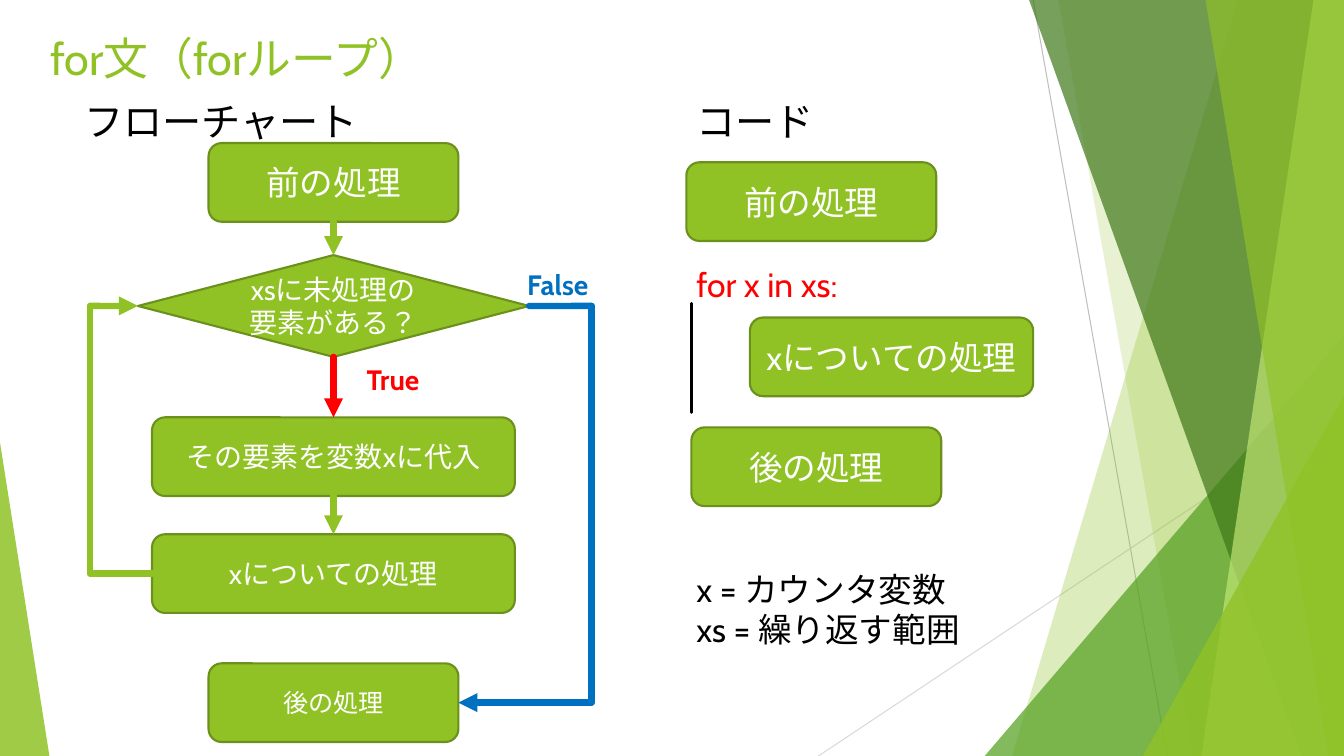
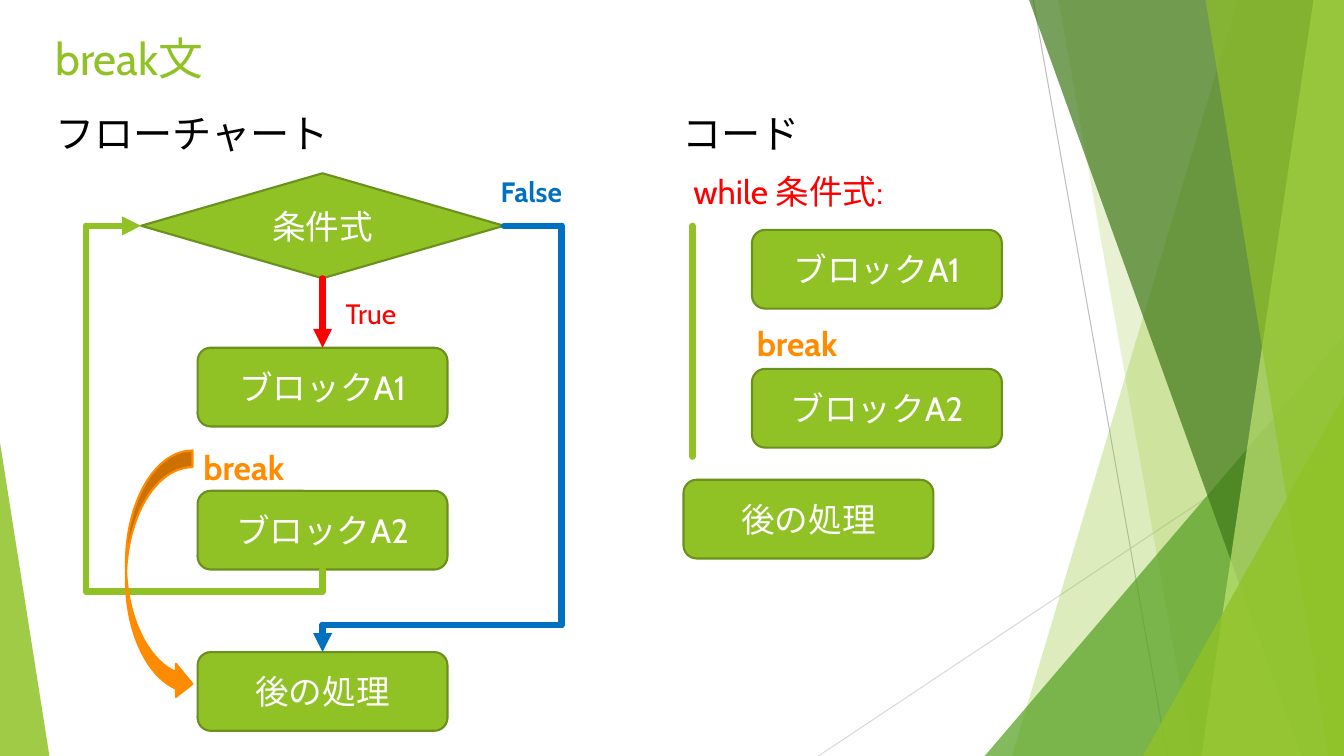
from itertools import pairwise

from lxml.etree import SubElement
from pptx import Presentation
from pptx.dml.color import RGBColor
from pptx.enum.lang import MSO_LANGUAGE_ID
from pptx.enum.shapes import MSO_CONNECTOR, MSO_SHAPE
from pptx.enum.text import MSO_ANCHOR, PP_ALIGN
from pptx.oxml.ns import qn
from pptx.util import Pt

FONT = "Cabin"
GREEN = RGBColor(0x90, 0xC2, 0x26)
OUTLINE = RGBColor(0x6B, 0x90, 0x1C)
LEAF = RGBColor(0x54, 0xA0, 0x21)
FOREST = RGBColor(0x3F, 0x78, 0x19)
LIME = RGBColor(0xC0, 0xE4, 0x74)
RED = RGBColor(0xFF, 0x00, 0x00)
BLUE = RGBColor(0x00, 0x70, 0xC0)
ORANGE = RGBColor(0xFF, 0x8C, 0x00)
BLACK = RGBColor(0x00, 0x00, 0x00)
WHITE = RGBColor(0xFF, 0xFF, 0xFF)
GRAY = RGBColor(0xBF, 0xBF, 0xBF)
PALE_GRAY = RGBColor(0xD9, 0xD9, 0xD9)

W, H = 960, 540
BOX_W, BOX_H = 178.5, 56.2
WIDE_W = 259.2
FLOW = 4.5
TOP, LEFT, BOTTOM, RIGHT = range(4)
BOX, DIAMOND = MSO_SHAPE.ROUNDED_RECTANGLE, MSO_SHAPE.DIAMOND


def set_text(sp, text, size, color, bold=False, align=PP_ALIGN.LEFT):
    tf = sp.text_frame
    tf.word_wrap = True
    tf.text = text
    for p in tf.paragraphs:
        p.alignment = align
        p.font.name = FONT
        p.font.size = Pt(size)
        p.font.bold = bold
        p.font.color.rgb = color
        p.font.language_id = MSO_LANGUAGE_ID.JAPANESE


def add_route(slide, stops, color, width, arrow=False, nodes=None):
    """Join stops with straight connectors; a stop is (x, y) or (node name, side)."""
    for start, end in pairwise(stops):
        ends = [(0, 0) if isinstance(stop[0], str) else stop for stop in (start, end)]
        cxn = slide.shapes.add_connector(
            MSO_CONNECTOR.STRAIGHT, *(Pt(v) for point in ends for v in point))
        if isinstance(start[0], str):
            cxn.begin_connect(nodes[start[0]], start[1])
        if isinstance(end[0], str):
            cxn.end_connect(nodes[end[0]], end[1])
        cxn.line.color.rgb = color
        cxn.line.width = Pt(width)
        ln = cxn.element.spPr.find(qn("a:ln"))
        ln.set("cap", "rnd")
        if arrow and end is stops[-1]:
            SubElement(ln, qn("a:tailEnd"), type="triangle")
        SubElement(cxn.element.spPr, qn("a:effectLst"))


prs = Presentation()
prs.slide_width, prs.slide_height = Pt(W), Pt(H)
layout = prs.slide_layouts[6]
for placeholder in list(layout.placeholders):
    layout.shapes.element.remove(placeholder.element)

# Shared decoration: drawn on the first slide, then moved to the layout.
s = prs.slides.add_slide(layout)
add_route(s, [(738, 0), (833.8, H)], GRAY, 0.75)
add_route(s, [(W, 290.2), (584.6, H)], PALE_GRAY, 0.75)

# A band is (top x, bottom x); a triangle is (left, top, width, apex position).
facets = [
    ((884.2, 722.9), GREEN, 30),
    ((756, 851.8), GREEN, 20),
    ((703.4, 239.8, 256.6, 1), LEAF, 72),
    ((735.1, 929.5), FOREST, 70),
    ((938.2, 858.2), LIME, 70),
    ((861.1, 949), GREEN, 65),
    ((816.5, 283, 143.5, 1), GREEN, 80),
    ((0, 316.1, 35.3, 0), GREEN, 85),
]
for geometry, color, opacity in facets:
    if len(geometry) == 2:
        top_x, bottom_x = geometry
        outline = s.shapes.build_freeform(Pt(top_x), 0)
        outline.add_line_segments(
            [(Pt(W), 0), (Pt(W), Pt(H)), (Pt(bottom_x), Pt(H))], close=True)
        sp = outline.convert_to_shape()
    else:
        left, top, width, apex = geometry
        sp = s.shapes.add_shape(
            MSO_SHAPE.ISOSCELES_TRIANGLE, Pt(left), Pt(top), Pt(width), Pt(H - top))
        sp.adjustments[0] = apex
    sp.shadow.inherit = False
    sp.fill.solid()
    sp.fill.fore_color.rgb = color
    srgb = sp.element.spPr.find(".//" + qn("a:srgbClr"))
    SubElement(srgb, qn("a:alpha"), val=str(opacity * 1000))
    sp.line.fill.background()
for sp in list(s.shapes):
    layout.shapes.element.append(sp.element)

# nodes: name -> kind, center x, top, width, height, text, size
# routes: stops, color, width, arrow
# labels: left, top, width, height, text, size, color, bold
pages = [
    {
        "nodes": {
            "before": (BOX, 238.2, 102.2, BOX_W, BOX_H, "前の処理", 24),
            "after": (BOX, 238.2, 473.8, BOX_W, BOX_H, "後の処理", 18),
            "assign": (BOX, 238.2, 298.1, WIDE_W, BOX_H, "その要素を変数xに代入", 20),
            "body": (BOX, 238.2, 381.6, WIDE_W, BOX_H, "xについての処理", 20),
            "test": (DIAMOND, 238.2, 182.2, 279.4, 72.7, "xsに未処理の要素がある？", 20),
            "code before": (BOX, 579.5, 115.9, BOX_W, BOX_H, "前の処理", 24),
            "code body": (BOX, 636.8, 226.8, 202.3, BOX_H, "xについての処理", 24),
            "code after": (BOX, 583.1, 305.3, BOX_W, BOX_H, "後の処理", 24),
        },
        "routes": [
            ([("before", BOTTOM), ("test", TOP)], GREEN, FLOW, True),
            ([("test", BOTTOM), ("assign", TOP)], RED, FLOW, True),
            ([("assign", BOTTOM), ("body", TOP)], GREEN, FLOW, True),
            ([("test", RIGHT), (422.6, 218.5), (422.6, 501.9), ("after", RIGHT)],
             BLUE, FLOW, True),
            ([("body", LEFT), (64.4, 409.7), (64.4, 218.5), ("test", LEFT)],
             GREEN, FLOW, True),
            ([(493.9, 216.7), (493.9, 294.5)], BLACK, 2.25, False),
        ],
        "labels": [
            (28.8, 18.7, 676.8, 55, "for文（forループ）", 32, GREEN, False),
            (53.3, 66.2, 273.6, 41, "フローチャート", 28, BLACK, False),
            (490.3, 66.2, 240.5, 41, "コード", 28, BLACK, False),
            (254.9, 255.6, 96.5, 31.7, "True", 20, RED, True),
            (369.4, 187.2, 82.8, 31.7, "False", 20, BLUE, True),
            (490.3, 185, 275.8, 36, "for x in xs:", 24, RED, False),
            (490.3, 402.5, 300.2, 65.5, "x = カウンタ変数\nxs = 繰り返す範囲", 24, BLACK, False),
        ],
    },
    {
        "nodes": {
            "after": (BOX, 230.4, 465.8, BOX_W, BOX_H, "後の処理", 24),
            "A1": (BOX, 230.4, 248.4, BOX_W, BOX_H, "ブロックA1", 24),
            "A2": (BOX, 230.4, 350.6, BOX_W, BOX_H, "ブロックA2", 24),
            "test": (DIAMOND, 230.4, 123.8, WIDE_W, 75, "条件式", 24),
            "code A1": (BOX, 626.4, 164.2, BOX_W, BOX_H, "ブロックA1", 24),
            "code A2": (BOX, 626.4, 263.5, BOX_W, BOX_H, "ブロックA2", 24),
            "code after": (BOX, 577.5, 342.7, BOX_W, BOX_H, "後の処理", 24),
        },
        "routes": [
            ([("test", BOTTOM), ("A1", TOP)], RED, FLOW, True),
            ([("A2", BOTTOM), (230.4, 422.6), (61.6, 422.6), (61.6, 161.3), ("test", LEFT)],
             GREEN, FLOW, True),
            ([("test", RIGHT), (401, 161.3), (401, 446.4), (230.4, 446.4), ("after", TOP)],
             BLUE, FLOW, True),
            ([(494.6, 161.3), (494.6, 326.2)], GREEN, FLOW, False),
        ],
        "labels": [
            (32.4, 18.7, 676.8, 55, "break文", 32, GREEN, False),
            (32.4, 74.2, 273.6, 41, "フローチャート", 28, BLACK, False),
            (480.2, 74.2, 240.5, 41, "コード", 28, BLACK, False),
            (350.6, 121, 82.8, 31.7, "False", 20, BLUE, True),
            (239.8, 208.1, 96.5, 31.7, "True", 20, RED, False),
            (138.2, 315.4, 82.8, 36, "break", 24, ORANGE, True),
            (488.2, 118.8, 275.8, 36, "while 条件式:", 24, RED, False),
            (533.5, 226.8, 82.8, 36, "break", 24, ORANGE, True),
        ],
    },
]

for number, page in enumerate(pages):
    if number:
        s = prs.slides.add_slide(layout)
    nodes = {}
    for name, (kind, center, top, width, height, text, size) in page["nodes"].items():
        sp = s.shapes.add_shape(
            kind, Pt(center - width / 2), Pt(top), Pt(width), Pt(height))
        sp.shadow.inherit = False
        sp.fill.solid()
        sp.fill.fore_color.rgb = GREEN
        sp.line.color.rgb = OUTLINE
        sp.line.width = Pt(1.5)
        sp.text_frame.vertical_anchor = MSO_ANCHOR.MIDDLE
        set_text(sp, text, size, WHITE, align=PP_ALIGN.CENTER)
        nodes[name] = sp
    for stops, color, width, arrow in page["routes"]:
        add_route(s, stops, color, width, arrow, nodes)
    for left, top, width, height, text, size, color, bold in page["labels"]:
        sp = s.shapes.add_textbox(Pt(left), Pt(top), Pt(width), Pt(height))
        set_text(sp, text, size, color, bold)

# The break jump belongs to the last slide only.
jump = s.shapes.add_shape(
    MSO_SHAPE.CURVED_RIGHT_ARROW, Pt(90), Pt(321.8), Pt(47.5), Pt(178.6))
jump.shadow.inherit = False
jump.fill.solid()
jump.fill.fore_color.rgb = ORANGE
jump.line.color.rgb = ORANGE
jump.line.width = Pt(1.5)

prs.save("out.pptx")
